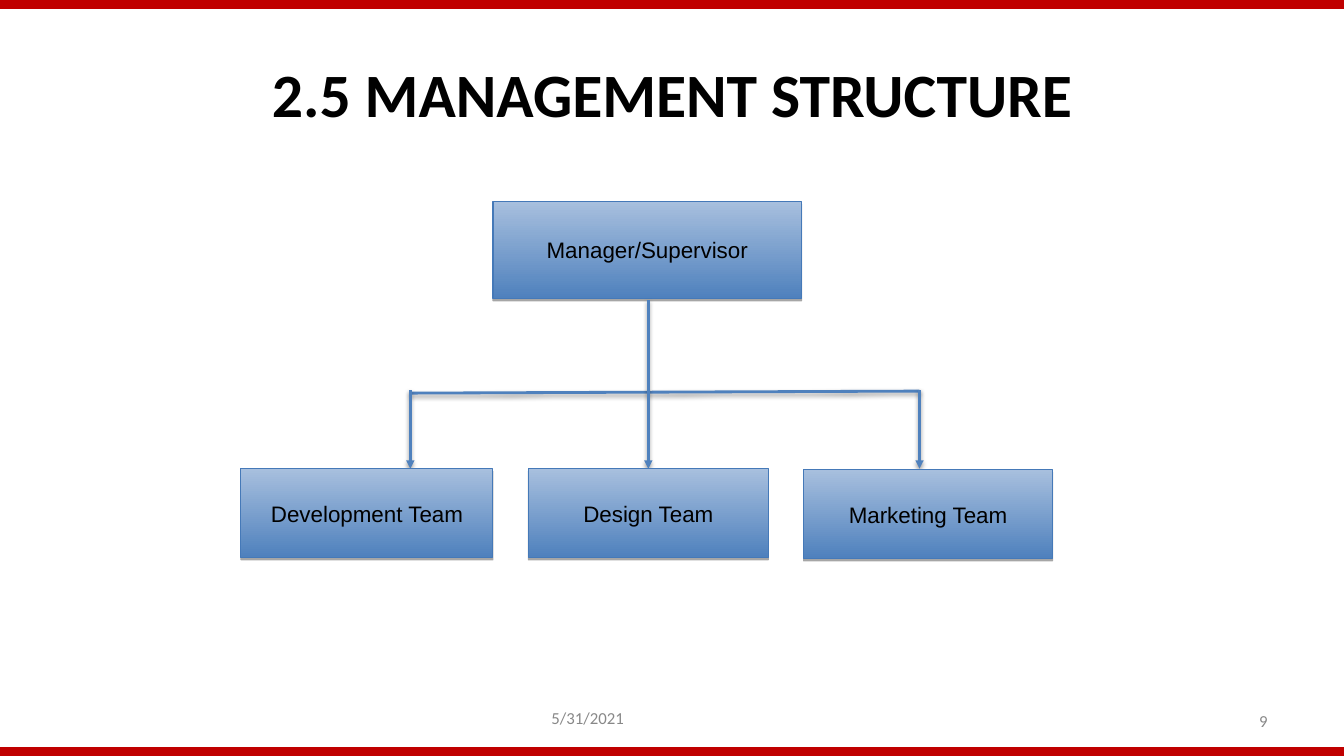
"""Build the management structure organisation chart slide."""
from lxml import etree
from pptx import Presentation
from pptx.dml.color import RGBColor
from pptx.enum.shapes import MSO_CONNECTOR, MSO_SHAPE
from pptx.enum.text import MSO_ANCHOR, PP_ALIGN
from pptx.oxml.ns import qn
from pptx.util import Inches, Pt

WIDTH, HEIGHT, BAR = 13.33, 7.5, 0.08
TITLE = "2.5 MANAGEMENT STRUCTURE"
MANAGER = ("Manager/Supervisor", 4.89, 2, 3.06, 0.96)
TEAM_TOP, TEAM_HEIGHT = 4.65, 0.88
TEAMS = [
    ("Development Team", 2.39, TEAM_TOP, 2.5, TEAM_HEIGHT),
    ("Design Team", 5.24, TEAM_TOP, 2.38, TEAM_HEIGHT),
    ("Marketing Team", 7.97, TEAM_TOP + 0.01, 2.47, TEAM_HEIGHT),
]
FOOTERS = [
    ("5/31/2021", 5.37, 6.92, PP_ALIGN.LEFT),
    ("9", 9.56, 6.95, PP_ALIGN.RIGHT),
]
LEFT_X, MIDDLE_X, RIGHT_X = 4.07, 6.43, 9.12
BRANCH_TOP = 3.87
CROSSBAR = (LEFT_X, 3.9, RIGHT_X, 3.88)
ARROWS = [(MIDDLE_X, 2.98), (LEFT_X, BRANCH_TOP), (RIGHT_X, BRANCH_TOP)]
BLUE, LIGHT_BLUE, EDGE_BLUE = "4F81BD", "A7BFDE", "4579B8"
RED, GREY, BLACK = "C00000", "888888", "000000"


def paint(color_format, value):
    color_format.rgb = RGBColor.from_string(value)


def write(shape, text, size, font, color, align, bold=False):
    frame = shape.text_frame
    frame.word_wrap = True
    frame.vertical_anchor = MSO_ANCHOR.MIDDLE
    paragraph = frame.paragraphs[0]
    paragraph.alignment = align
    run = paragraph.add_run()
    run.text = text
    run.font.size, run.font.name, run.font.bold = Pt(size), font, bold
    paint(run.font.color, color)


def outline(shape, color, width):
    paint(shape.line.color, color)
    shape.line.width = Pt(width)


def add_shadow(shape, opacity, blur, distance):
    effects = etree.SubElement(shape._element.spPr, qn("a:effectLst"))
    shadow = etree.SubElement(
        effects, qn("a:outerShdw"), blurRad=str(Pt(blur)), dist=str(Pt(distance)),
        dir="5400000", rotWithShape="0")
    color = etree.SubElement(shadow, qn("a:srgbClr"), val=BLACK)
    etree.SubElement(color, qn("a:alpha"), val=str(opacity * 1000))


def add_rectangle(slide, *box):
    return slide.shapes.add_shape(MSO_SHAPE.RECTANGLE, *map(Inches, box))


def add_bar(slide, top):
    bar = add_rectangle(slide, 0, top, WIDTH, BAR)
    bar.shadow.inherit = False
    bar.fill.solid()
    paint(bar.fill.fore_color, RED)
    outline(bar, RED, 2)


def add_role(slide, name, *box):
    role = add_rectangle(slide, *box)
    role.fill.gradient()
    role.fill.gradient_angle = 90
    for stop, color in zip(role.fill.gradient_stops, (BLUE, LIGHT_BLUE)):
        paint(stop.color, color)
    outline(role, EDGE_BLUE, 0.75)
    add_shadow(role, 35, 0, 1.8)
    write(role, name, 16, "Arial", BLACK, PP_ALIGN.CENTER)


def add_line(slide, *ends, arrow=False):
    line = slide.shapes.add_connector(MSO_CONNECTOR.STRAIGHT, *map(Inches, ends))
    outline(line, BLUE, 2)
    if arrow:
        etree.SubElement(line.line._get_or_add_ln(), qn("a:tailEnd"), type="triangle")
    add_shadow(line, 38, 3.1, 1.6)


prs = Presentation()
prs.slide_width, prs.slide_height = Inches(WIDTH), Inches(HEIGHT)
slide = prs.slides.add_slide(prs.slide_layouts[5])

title = slide.shapes.title
title.left, title.top, title.width, title.height = map(Inches, (0.67, 0.3, 12, 1.25))
write(title, TITLE, 44, "Calibri", BLACK, PP_ALIGN.CENTER, bold=True)

for top in (HEIGHT - BAR, 0):
    add_bar(slide, top)
for text, left, top, align in FOOTERS:
    footer = slide.shapes.add_textbox(*map(Inches, (left, top, 3.11, 0.4)))
    write(footer, text, 12, "Calibri", GREY, align)

add_role(slide, *MANAGER)
add_line(slide, *CROSSBAR)
for x, top in ARROWS:
    add_line(slide, x, top, x, TEAM_TOP, arrow=True)
for team in TEAMS:
    add_role(slide, *team)

prs.save("out.pptx")
